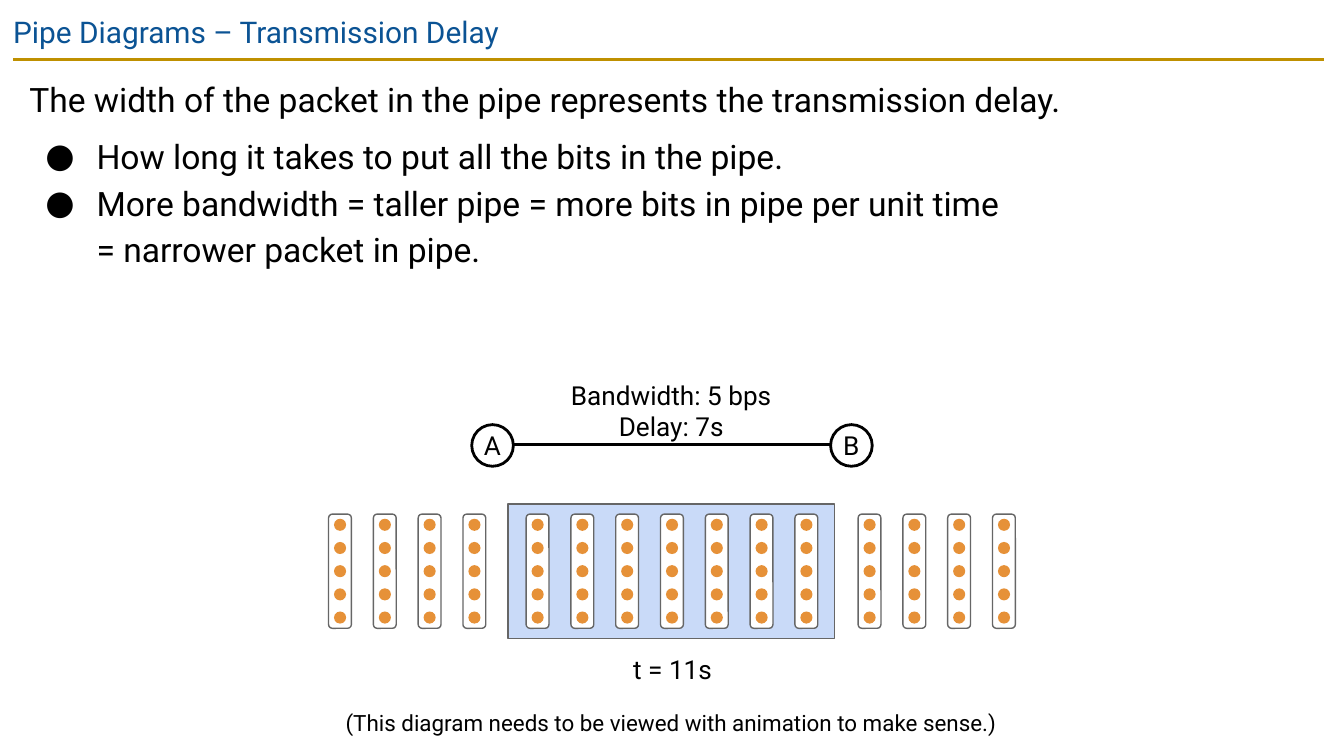
from lxml import etree
from pptx import Presentation
from pptx.dml.color import RGBColor
from pptx.enum.shapes import MSO_CONNECTOR, MSO_SHAPE
from pptx.enum.text import MSO_ANCHOR, PP_ALIGN
from pptx.oxml.ns import qn
from pptx.util import Inches, Pt

RECT = MSO_SHAPE.RECTANGLE
ROUND = MSO_SHAPE.ROUNDED_RECTANGLE
OVAL = MSO_SHAPE.OVAL
STRAIGHT = MSO_CONNECTOR.STRAIGHT
LEFT = PP_ALIGN.LEFT
CENTER = PP_ALIGN.CENTER
TOP = MSO_ANCHOR.TOP
MIDDLE = MSO_ANCHOR.MIDDLE

BLACK = RGBColor(0x00, 0x00, 0x00)
WHITE = RGBColor(0xFF, 0xFF, 0xFF)
BLUE = RGBColor(0x0B, 0x53, 0x94)
GOLD = RGBColor(0xBF, 0x90, 0x00)
GRAY = RGBColor(0x66, 0x66, 0x66)
PIPE = RGBColor(0xC9, 0xDA, 0xF8)
ORANGE = RGBColor(0xE6, 0x91, 0x38)

FONT = "Roboto"
PITCH = 1 / 3
MID = 4.25
BITS = 5
BIT_GAP = 0.69 / (BITS - 1)
BIT_SIZE = 0.09
COL_W, COL_H = 0.17, 0.85
GROUPS = [(2.53, 4), (4.0, 7), (6.47, 4)]


def add_bullet(para, size):
    props = para._p.get_or_add_pPr()
    props.set("marL", str(Inches(0.5)))
    props.set("indent", str(Inches(-0.38)))
    tint = etree.SubElement(props, qn("a:buClr"))
    etree.SubElement(tint, qn("a:srgbClr")).set("val", str(BLACK))
    etree.SubElement(props, qn("a:buSzPts")).set("val", str(size * 100))
    etree.SubElement(props, qn("a:buFont")).set("typeface", FONT)
    etree.SubElement(props, qn("a:buChar")).set("char", "●")


def put_text(shape, lines, size=14, color=BLACK, align=CENTER, inset=0.03,
             anchor=TOP, spacing=None, gaps=(), bullets=()):
    frame = shape.text_frame
    frame.word_wrap = True
    frame.vertical_anchor = anchor
    frame.margin_left = frame.margin_right = Inches(inset)
    frame.margin_top = frame.margin_bottom = Inches(inset)
    for i, line in enumerate(lines):
        para = frame.add_paragraph() if i else frame.paragraphs[0]
        para.text = line
        para.alignment = align
        if i in bullets:
            add_bullet(para, size)
        if spacing:
            para.line_spacing = spacing
        if i in gaps:
            para.space_before = Pt(6)
        for run in para.runs:
            run.font.name = FONT
            run.font.size = Pt(size)
            run.font.color.rgb = color


def add_text(slide, box, lines, **style):
    shape = slide.shapes.add_textbox(*map(Inches, box))
    put_text(shape, lines, **style)


def add_shape(shapes, kind, box, fill, line=None, width=0.75):
    shape = shapes.add_shape(kind, *map(Inches, box))
    shape.shadow.inherit = False
    shape.fill.solid()
    shape.fill.fore_color.rgb = fill
    if line is None:
        shape.line.fill.background()
    else:
        shape.line.color.rgb = line
        shape.line.width = Pt(width)
    return shape


def add_line(slide, start, end, y, color):
    line = slide.shapes.add_connector(
        STRAIGHT, Inches(start), Inches(y), Inches(end), Inches(y))
    line.line.color.rgb = color
    line.line.width = Pt(1.5)
    etree.SubElement(line._element.spPr, qn("a:effectLst"))


def add_node(slide, left, name):
    node = add_shape(slide.shapes, OVAL, (left, 3.16, 0.31, 0.31),
                     WHITE, BLACK, 1.5)
    put_text(node, [name], inset=0, anchor=MIDDLE)


def add_column(slide, x):
    shapes = slide.shapes.add_group_shape().shapes
    box = (x - COL_W / 2, MID - COL_H / 2, COL_W, COL_H)
    frame = add_shape(shapes, ROUND, box, WHITE, GRAY)
    frame.adjustments[0] = 0.17
    for i in range(BITS):
        y = MID + (i - (BITS - 1) / 2) * BIT_GAP
        add_shape(shapes, OVAL, (x - BIT_SIZE / 2, y - BIT_SIZE / 2,
                                 BIT_SIZE, BIT_SIZE), ORANGE)


def main():
    deck = Presentation()
    deck.slide_width = Inches(10)
    deck.slide_height = deck.slide_width * 9 // 16
    slide = deck.slides.add_slide(deck.slide_layouts[6])

    add_line(slide, 0.1, 9.85, 0.44, GOLD)
    add_text(slide, (0, 0, 10, 0.43), ["Pipe Diagrams – Transmission Delay"],
             size=16, color=BLUE, align=LEFT, inset=0.1)
    add_text(slide, (0.12, 0.44, 9.74, 1.85), [
        "The width of the packet in the pipe represents the transmission delay.",
        "How long it takes to put all the bits in the pipe.",
        "More bandwidth = taller pipe = more bits in pipe per unit time\n"
        "= narrower packet in pipe.",
    ], size=18, align=LEFT, inset=0.1, spacing=1.15, gaps=(1,), bullets=(1, 2))

    add_shape(slide.shapes, RECT, (3.78, 3.75, 2.43, 1), PIPE, GRAY)
    for start, count in GROUPS:
        for i in range(count):
            add_column(slide, start + i * PITCH)

    add_node(slide, 6.18, "B")
    add_node(slide, 3.51, "A")
    add_line(slide, 3.82, 6.18, 3.31, BLACK)
    add_text(slide, (3.66, 2.79, 2.67, 0.53), ["Bandwidth: 5 bps", "Delay: 7s"])
    add_text(slide, (2.53, 5.25, 4.93, 0.26),
             ["(This diagram needs to be viewed with animation to make sense.)"],
             size=12)
    clock = add_shape(slide.shapes, RECT, (4.27, 4.83, 1.47, 0.3), WHITE)
    put_text(clock, ["t = 11s"])

    deck.save("out.pptx")


if __name__ == "__main__":
    main()
